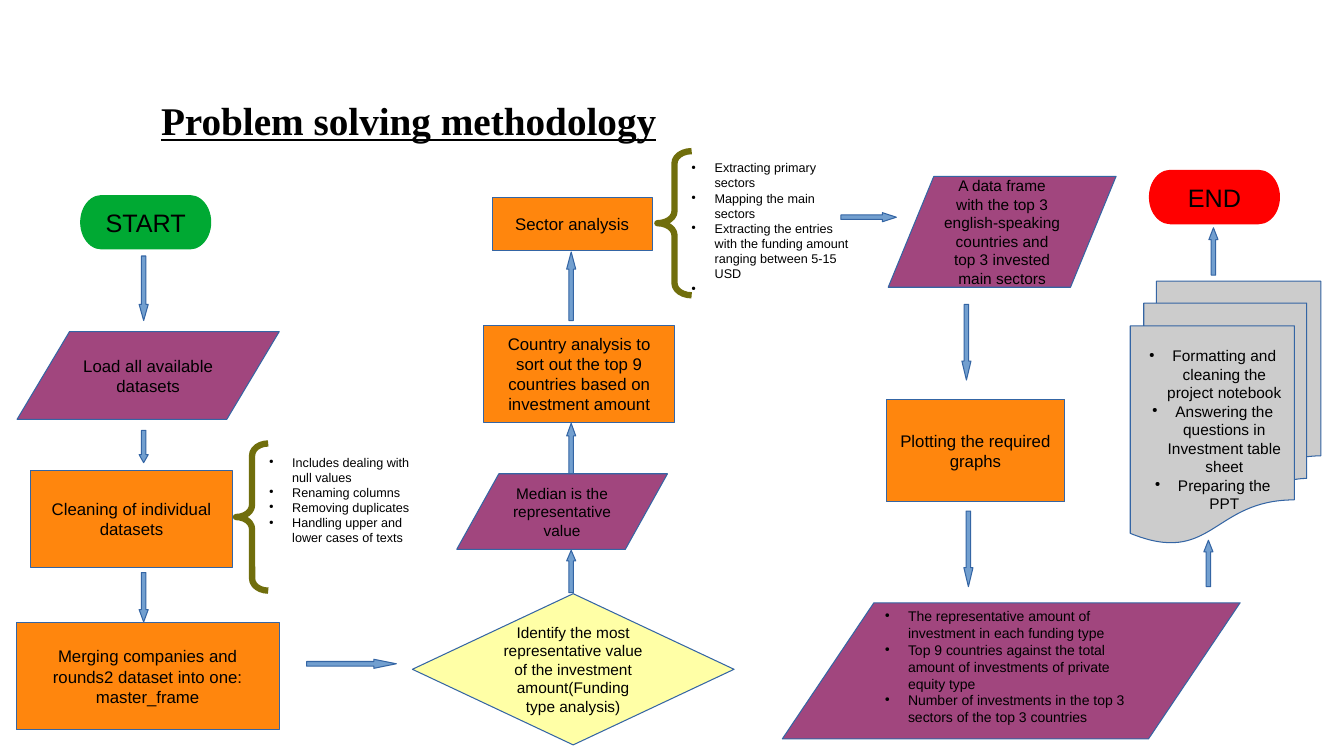
from lxml import etree
from pptx import Presentation
from pptx.dml.color import RGBColor
from pptx.enum.shapes import MSO_SHAPE
from pptx.enum.text import MSO_ANCHOR, PP_ALIGN
from pptx.oxml.ns import qn
from pptx.util import Inches, Pt

TERMINATOR = MSO_SHAPE.FLOWCHART_TERMINATOR
DATA = MSO_SHAPE.FLOWCHART_DATA
PROCESS = MSO_SHAPE.FLOWCHART_PROCESS
DECISION = MSO_SHAPE.FLOWCHART_DECISION
DOCUMENTS = MSO_SHAPE.FLOWCHART_MULTIDOCUMENT
BRACE = MSO_SHAPE.LEFT_BRACE
DOWN, UP, RIGHT = MSO_SHAPE.DOWN_ARROW, MSO_SHAPE.UP_ARROW, MSO_SHAPE.RIGHT_ARROW
TOP, MIDDLE = MSO_ANCHOR.TOP, MSO_ANCHOR.MIDDLE
LEFT, CENTER = PP_ALIGN.LEFT, PP_ALIGN.CENTER

COLORS = {
    "text": "000000", "outline": "3465A4", "arrow": "729FCF", "brace": "706E0C",
    "start": "00A933", "end": "FF0000", "data": "A1467E",
    "process": "FF860D", "decision": "FFFFA6", "documents": "CCCCCC",
}
KINDS = {
    "start": (TERMINATOR, "start"),
    "end": (TERMINATOR, "end"),
    "data": (DATA, "outline"),
    "process": (PROCESS, "outline"),
    "decision": (DECISION, "outline"),
    "documents": (DOCUMENTS, "outline"),
}

TITLE = "Problem solving methodology"
STEPS = [
    ("start", (0.8, 1.94, 1.29, 0.53), 18, "START"),
    ("data", (0.17, 3.29, 2.6, 0.87), 12, "Load all available datasets"),
    ("process", (0.3, 4.67, 2.01, 0.96), 12, "Cleaning of individual datasets"),
    ("process", (0.16, 6.18, 2.61, 1.06), 12,
     "Merging companies and rounds2 dataset into one: master_frame"),
    ("decision", (4.09, 5.89, 3.19, 1.5), 11,
     "Identify the most representative value of the investment amount(Funding type analysis)"),
    ("data", (4.53, 4.7, 2.09, 0.75), 11, "Median is the representative value"),
    ("process", (4.8, 3.23, 1.89, 0.96), 12,
     "Country analysis to sort out the top 9 countries based on investment amount"),
    ("process", (4.88, 1.96, 1.59, 0.53), 12, "Sector analysis"),
    ("data", (8.81, 1.75, 2.26, 1.1), 11,
     "A data frame with the top 3 english-speaking countries and top 3 invested main sectors"),
    ("process", (8.79, 3.96, 1.77, 1.02), 12, "Plotting the required graphs"),
    ("end", (11.4, 1.69, 1.29, 0.53), 18, "END"),
]
BULLETED_STEPS = [
    ("data", (7.76, 5.98, 4.54, 1.35), 10, TOP, LEFT, [
        "The representative amount of investment in each funding type",
        "Top 9 countries against the total amount of investments of private equity type",
        "Number of investments in the top 3 sectors of the top 3 countries",
    ]),
    ("documents", (11.21, 2.79, 1.89, 2.6), 11, MIDDLE, CENTER, [
        "Formatting and cleaning the project notebook",
        "Answering the questions in Investment table sheet",
        "Preparing the PPT",
    ]),
]
NOTES = [
    ((2.34, 4.4, 0.32, 1.46), (2.56, 4.46, 1.79, 1.62), [
        "Includes dealing with null values",
        "Renaming columns",
        "Removing duplicates",
        "Handling upper and lower cases of texts",
    ]),
    ((6.52, 1.5, 0.34, 1.43), (6.75, 1.54, 1.86, 1.46), [
        "Extracting primary sectors",
        "Mapping the main sectors",
        "Extracting the entries with the funding amount ranging between 5-15 USD",
        " ",
    ]),
]
ARROWS = [
    (DOWN, 1.38, 2.54, 0.64), (DOWN, 1.38, 4.27, 0.32), (DOWN, 1.38, 5.68, 0.49),
    (UP, 5.62, 5.46, 0.42), (UP, 5.62, 4.2, 0.5), (UP, 5.62, 2.5, 0.68),
    (RIGHT, 8.34, 2.11, 0.55), (RIGHT, 3.04, 6.54, 0.89),
    (UP, 11.94, 5.36, 0.46), (UP, 11.99, 2.26, 0.47),
    (DOWN, 9.54, 3.02, 0.75), (DOWN, 9.56, 5.07, 0.75),
]
ARROW_WIDTH = 0.09
ARROW_HEAD = 0.25
BRACE_CURVE = 0.12

presentation = Presentation()
presentation.slide_width, presentation.slide_height = Inches(13.33), Inches(7.5)
slide = presentation.slides.add_slide(presentation.slide_layouts[6])


def color(name):
    return RGBColor.from_string(COLORS[name])


def add_shape(preset, box, fill, line, line_width=0.75):
    shape = slide.shapes.add_shape(preset, *map(Inches, box))
    shape.shadow.inherit = False
    if fill:
        shape.fill.solid()
        shape.fill.fore_color.rgb = color(fill)
    else:
        shape.fill.background()
    shape.line.color.rgb = color(line)
    shape.line.width = Pt(line_width)
    return shape


def add_run(paragraph, text, size, font="Arial"):
    run = paragraph.add_run()
    run.text = text
    run.font.name = font
    run.font.size = Pt(size)
    run.font.color.rgb = color("text")
    return run


def add_bullet(paragraph):
    properties = paragraph._p.get_or_add_pPr()
    properties.set("marL", str(Inches(0.24)))
    properties.set("indent", str(Inches(-0.23)))
    bullet_color = etree.SubElement(properties, qn("a:buClr"))
    etree.SubElement(bullet_color, qn("a:srgbClr"), val=COLORS["text"])
    etree.SubElement(properties, qn("a:buSzPct"), val="45000")
    etree.SubElement(properties, qn("a:buChar"), char="●")


def write(shape, lines, size, anchor=MIDDLE, alignment=CENTER, bulleted=False):
    frame = shape.text_frame
    frame.word_wrap = True
    frame.vertical_anchor = anchor
    for index, line in enumerate(lines):
        paragraph = frame.add_paragraph() if index else frame.paragraphs[0]
        paragraph.alignment = alignment
        if bulleted:
            add_bullet(paragraph)
        add_run(paragraph, line, size)


def add_step(kind, box):
    preset, line = KINDS[kind]
    return add_shape(preset, box, kind, line)


title = slide.shapes.add_textbox(*map(Inches, (1.36, 0.7, 9.98, 0.93)))
title.text_frame.word_wrap = True
title.text_frame.vertical_anchor = MIDDLE
title_paragraph = title.text_frame.paragraphs[0]
title_paragraph.line_spacing = 0.9
for text, size, underlined in ((" ", 40, False), (TITLE, 28, True)):
    run = add_run(title_paragraph, text, size, "Times New Roman")
    run.font.bold = True
    run.font.underline = underlined

for kind, box, size, text in STEPS:
    write(add_step(kind, box), [text], size)

for kind, box, size, anchor, alignment, lines in BULLETED_STEPS:
    write(add_step(kind, box), lines, size, anchor, alignment, True)

for brace_box, note_box, lines in NOTES:
    brace = add_shape(BRACE, brace_box, None, "brace", 4.5)
    brace.adjustments[0] = BRACE_CURVE / brace_box[2]
    note = slide.shapes.add_textbox(*map(Inches, note_box))
    write(note, lines, 9, TOP, LEFT, True)

for preset, left, top, length in ARROWS:
    size = (length, ARROW_WIDTH) if preset == RIGHT else (ARROW_WIDTH, length)
    arrow = add_shape(preset, (left, top, *size), "arrow", "outline")
    arrow.adjustments[0] = 0.5
    arrow.adjustments[1] = ARROW_HEAD * length / ARROW_WIDTH

presentation.save("out.pptx")
